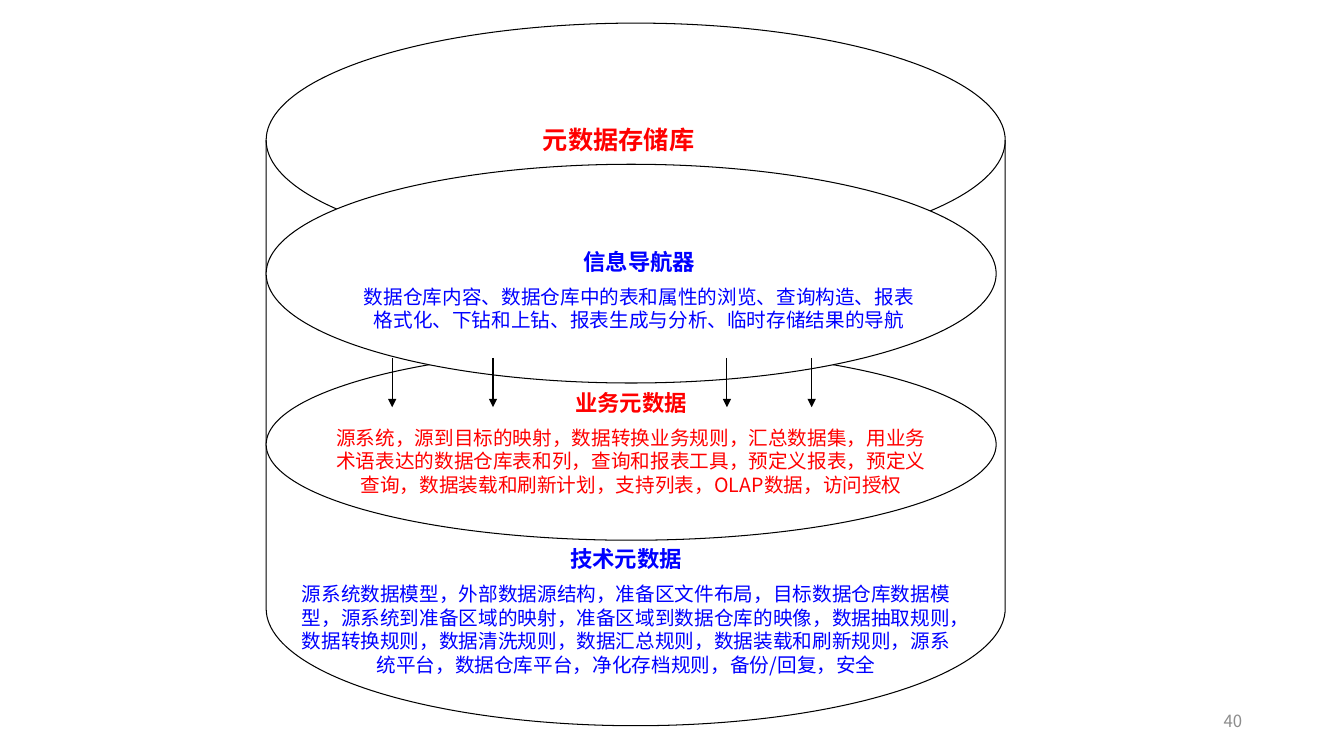
from lxml.etree import SubElement
from pptx import Presentation
from pptx.dml.color import RGBColor
from pptx.enum.shapes import MSO_CONNECTOR as Connector, MSO_SHAPE as Shape
from pptx.enum.text import MSO_ANCHOR as Anchor, PP_ALIGN as Align
from pptx.oxml.ns import qn
from pptx.util import Inches, Pt

FONT = "Noto Sans CJK SC"
COLORS = {"black": "000000", "white": "FFFFFF", "red": "FF0000",
          "blue": "0000FF", "gray": "8C8C8C"}
LINE_RATIO = 1.2
LEFT = 2.64
ARROW_TOP, ARROW_BOTTOM = 3.55, 4.04
ARROW_COLUMNS = (3.89, 4.89, 7.21, 8.05)

LAYERS = [
    ((3.47, 2.41, 5.74, 0.95), "blue", "信息导航器",
     "数据仓库内容、数据仓库中的表和属性的浏览、查询构造、报表格式化、下钻和上钻、"
     "报表生成与分析、临时存储结果的导航"),
    ((3.14, 3.81, 6.24, 1.18), "red", "业务元数据",
     "源系统，源到目标的映射，数据转换业务规则，汇总数据集，用业务术语表达的数据仓库表和列，"
     "查询和报表工具，预定义报表，预定义查询，数据装载和刷新计划，支持列表，OLAP数据，访问授权"),
    ((2.87, 5.36, 6.68, 1.42), "blue", "技术元数据",
     "源系统数据模型，外部数据源结构，准备区文件布局，目标数据仓库数据模型，"
     "源系统到准备区域的映射，准备区域到数据仓库的映像，数据抽取规则，数据转换规则，"
     "数据清洗规则，数据汇总规则，数据装载和刷新规则，源系统平台，数据仓库平台，"
     "净化存档规则，备份/回复，安全"),
]


def color(name):
    return RGBColor.from_string(COLORS[name])


def apply_format(target, values):
    for name, value in values.items():
        setattr(target, name, value)


def draw_outline(line):
    line.color.rgb = color("black")
    line.width = Pt(0.75)


def add_body(page, kind, area):
    body = page.shapes.add_shape(kind, *map(Inches, area))
    body.shadow.inherit = False
    body.fill.solid()
    body.fill.fore_color.rgb = color("white")
    draw_outline(body.line)


def add_arrow(page, column):
    arrow = page.shapes.add_connector(
        Connector.STRAIGHT, Inches(column), Inches(ARROW_TOP),
        Inches(column), Inches(ARROW_BOTTOM))
    draw_outline(arrow.line)
    SubElement(arrow.line._get_or_add_ln(), qn("a:tailEnd"), type="triangle")
    SubElement(arrow._element.spPr, qn("a:effectLst"))


def add_text(page, area, tint, rows, align=Align.CENTER, anchor=Anchor.TOP):
    box = page.shapes.add_textbox(*map(Inches, area))
    frame = box.text_frame
    apply_format(frame, {"word_wrap": True, "vertical_anchor": anchor})
    for index, (words, size, bold) in enumerate(rows):
        para = frame.add_paragraph() if index else frame.paragraphs[0]
        apply_format(para, {"alignment": align,
                            "line_spacing": Pt(size * LINE_RATIO),
                            "space_before": Pt(size / 2 if index else 0)})
        para._p.get_or_add_pPr().set("hangingPunct", "1")
        span = para.add_run()
        span.text = words
        apply_format(span.font, {"name": FONT, "size": Pt(size), "bold": bold})
        span.font.color.rgb = color(tint)
        SubElement(span.font._element, qn("a:ea"), typeface=FONT)


def main():
    deck = Presentation()
    apply_format(deck, {"slide_width": Inches(13.33), "slide_height": Inches(7.5)})
    page = deck.slides.add_slide(deck.slide_layouts[6])

    add_text(page, (9.42, 6.95, 3, 0.4), "gray", [("40", 12, False)],
             Align.RIGHT, Anchor.MIDDLE)
    add_body(page, Shape.FLOWCHART_MAGNETIC_DISK, (LEFT, 0.23, 7.33, 6.97))
    for top, height in ((3.46, 1.9), (1.63, 2.17)):
        add_body(page, Shape.OVAL, (LEFT, top, 7.24, height))

    add_text(page, (4.39, 1.18, 3.49, 0.4), "red", [("元数据存储库", 18, True)])
    for area, tint, heading, details in LAYERS:
        add_text(page, area, tint, [(heading, 16, True), (details, 14, False)])
    for column in ARROW_COLUMNS:
        add_arrow(page, column)

    deck.save("out.pptx")


if __name__ == "__main__":
    main()
